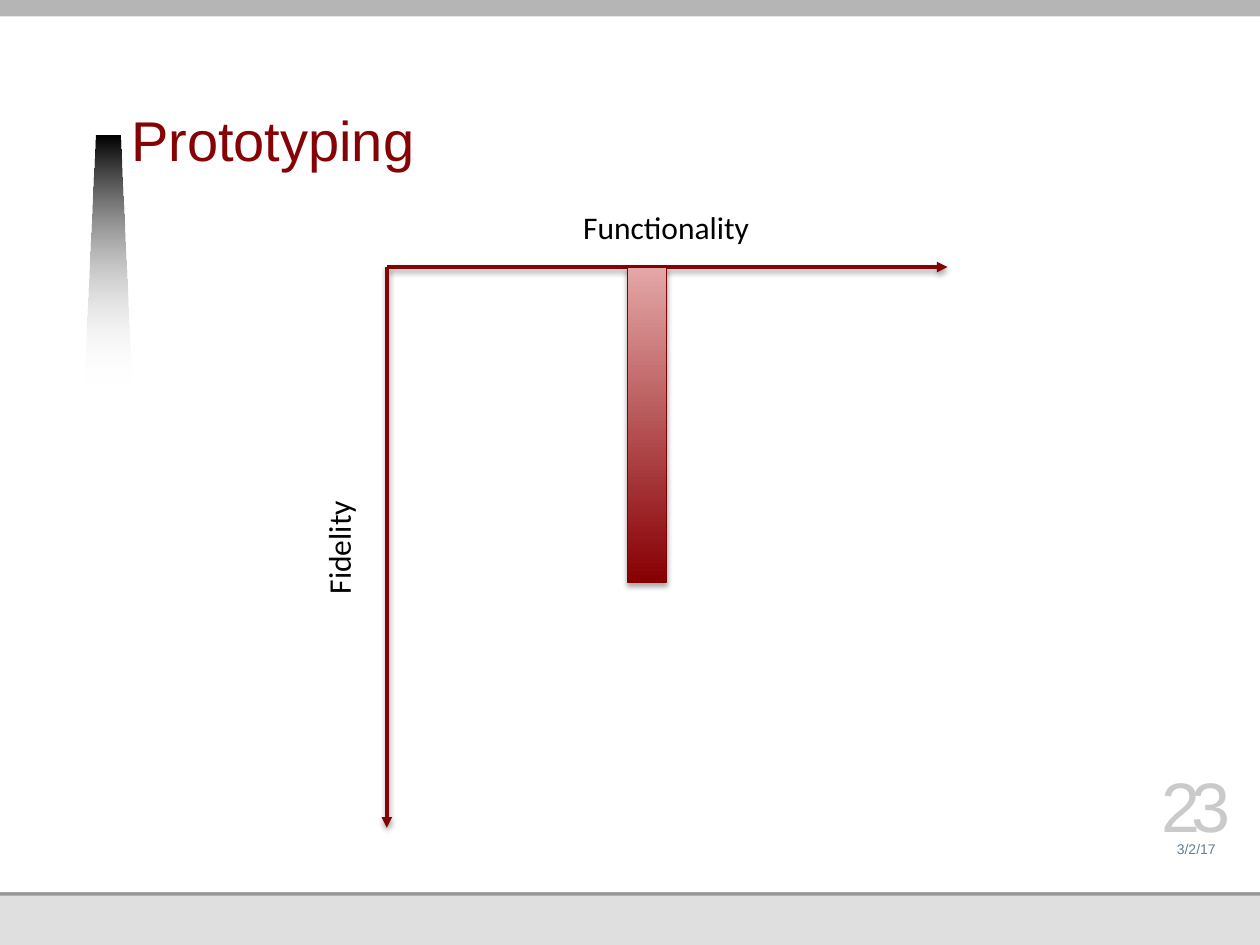
import pptx
import pptx.util
from lxml import etree
from pptx.dml.color import RGBColor
from pptx.enum.shapes import MSO_CONNECTOR, MSO_SHAPE
from pptx.enum.text import MSO_ANCHOR, MSO_AUTO_SIZE, PP_ALIGN
from pptx.oxml.ns import qn
from pptx.util import Inches, Pt

COLORS = {
    "page": "FFFFFF", "footer": "DFDFDF", "rule": "989898", "top": "B5B5B5",
    "title": "850205", "axis": "850205", "label": "000000",
    "date": "618091", "number": "CACACA",
    "beam": "000000", "bar_dark": "870003", "bar_light": "E4A7A7",
    "bar_line": "840003", "shadow": "000000",
}


def rgb(name):
    return RGBColor.from_string(COLORS[name])


def add_rect(shapes, x, y, w, h, color):
    sp = shapes.add_shape(MSO_SHAPE.RECTANGLE, Inches(x), Inches(y), Inches(w), Inches(h))
    sp.shadow.inherit = False
    sp.fill.solid()
    sp.fill.fore_color.rgb = rgb(color)
    sp.line.fill.background()
    return sp


def set_gradient(sp, start, end, angle):
    """Fill from start to end; angle is counter-clockwise."""
    sp.fill.gradient()
    sp.fill.gradient_angle = angle
    for stop, color, position in zip(sp.fill.gradient_stops, (start, end), (0, 1)):
        stop.color.rgb = rgb(color)
        stop.position = position


def set_shadow(sp, opacity, distance):
    """Drop a soft shadow straight down; the line must be set before."""
    sp_pr = sp._element.spPr
    effects = sp_pr.find(qn("a:effectLst"))
    if effects is None:
        effects = etree.SubElement(sp_pr, qn("a:effectLst"))
    shadow = etree.SubElement(effects, qn("a:outerShdw"), blurRad=str(Pt(3.1)),
                              dist=str(Pt(distance)), dir="5400000", rotWithShape="0")
    clr = etree.SubElement(shadow, qn("a:srgbClr"), val=COLORS["shadow"])
    etree.SubElement(clr, qn("a:alpha"), val=str(opacity * 1000))


def set_text(sp, text, size, font, color, align=PP_ALIGN.LEFT):
    p = sp.text_frame.paragraphs[0]
    p.text = text
    p.alignment = align
    p.font.size = Pt(size)
    p.font.name = font
    p.font.color.rgb = rgb(color)
    return p


def set_frame(tf, bottom=0):
    tf.margin_left = tf.margin_top = tf.margin_right = 0
    tf.margin_bottom = Inches(bottom)
    tf.vertical_anchor = MSO_ANCHOR.BOTTOM
    tf.word_wrap = True
    tf.auto_size = MSO_AUTO_SIZE.NONE


def add_backdrop(shapes, w, h):
    add_rect(shapes, 0, 0, w, h, "footer")
    add_rect(shapes, 0, 1.78, w, 5.33, "rule")
    add_rect(shapes, 0, 0, w, 7.08, "page")
    add_rect(shapes, 0, -0.04, w + 0.17, 0.17, "top")


def add_beam(shapes, x, y, w, h):
    """Light beam that widens and fades downwards."""
    inset = 0.09
    builder = shapes.build_freeform(Inches(x), Inches(y + h))
    builder.add_line_segments([(Inches(px), Inches(py)) for px, py in (
        (x + inset, y), (x + w - inset, y), (x + w, y + h))])
    sp = builder.convert_to_shape()
    sp.shadow.inherit = False
    set_gradient(sp, "beam", "page", 270)
    sp.line.fill.background()
    faded = sp._element.spPr.findall(".//" + qn("a:srgbClr"))[-1]
    etree.SubElement(faded, qn("a:alpha"), val="0")


def place_title(s, x, y, w, h):
    sp = s.shapes.title
    s.shapes._spTree.append(sp._element)  # in front of the backdrop
    sp.left, sp.top, sp.width, sp.height = Inches(x), Inches(y), Inches(w), Inches(h)
    set_frame(sp.text_frame, bottom=0.05)
    p = set_text(sp, "Prototyping", 32, "Arial", "title")
    p.line_spacing = Pt(34)


def add_page_mark(shapes, x, y, w):
    """Date with the slide number above it."""
    for text, top, height, size, color in (
            ("3/2/17", y + 0.42, 0.22, 8, "date"), ("23", y, 0.56, 40, "number")):
        sp = shapes.add_textbox(Inches(x), Inches(top), Inches(w), Inches(height))
        set_frame(sp.text_frame)
        p = set_text(sp, text, size, "Arial", color, PP_ALIGN.CENTER)
    p.runs[0].font._element.set("spc", "-500")


def add_axis(shapes, x1, y1, x2, y2):
    line = shapes.add_connector(MSO_CONNECTOR.STRAIGHT, Inches(x1), Inches(y1),
                                Inches(x2), Inches(y2))
    line.line.color.rgb = rgb("axis")
    line.line.width = Pt(2)
    etree.SubElement(line.line._get_or_add_ln(), qn("a:tailEnd"), type="triangle")
    set_shadow(line, 38, 1.6)


def add_label(shapes, text, x, y, w, rotation=0):
    sp = shapes.add_textbox(Inches(x), Inches(y), Inches(w), Inches(0.4))
    sp.rotation = rotation
    sp.text_frame.word_wrap = False
    sp.text_frame.auto_size = MSO_AUTO_SIZE.SHAPE_TO_FIT_TEXT
    set_text(sp, text, 18, "Calibri", "label")


def add_diagram(shapes, x, y, size):
    """Functionality and fidelity axes from one origin, with a vertical prototype bar."""
    axes = shapes.add_group_shape().shapes
    add_axis(axes, x, y, x + size, y)
    add_axis(axes, x, y, x, y + size)
    add_label(axes, "Functionality", x + 1.46, y - 0.52, 1.53)
    add_label(axes, "Fidelity", x - 0.86, y + 2.02, 0.95, rotation=270)
    bar = add_rect(shapes, x + 1.91, y, 0.31, 2.5, "bar_dark")
    set_gradient(bar, "bar_dark", "bar_light", 90)
    bar.line.color.rgb = rgb("bar_line")
    bar.line.width = Pt(0.75)
    set_shadow(bar, 35, 1.8)


def main():
    prs = pptx.Presentation()
    prs.slide_width, prs.slide_height = Inches(10), Inches(7.5)
    s = prs.slides.add_slide(prs.slide_layouts[5])
    add_backdrop(s.shapes, 10, 7.5)
    add_beam(s.shapes, 0.67, 1.08, 0.37, 1.97)
    place_title(s, 1.04, 0.34, 6.87, 1.08)
    add_page_mark(s.shapes, 9.13, 6.16, 0.73)
    add_diagram(s.shapes, 3.07, 2.12, 4.45)
    prs.save("out.pptx")


if __name__ == "__main__":
    main()
